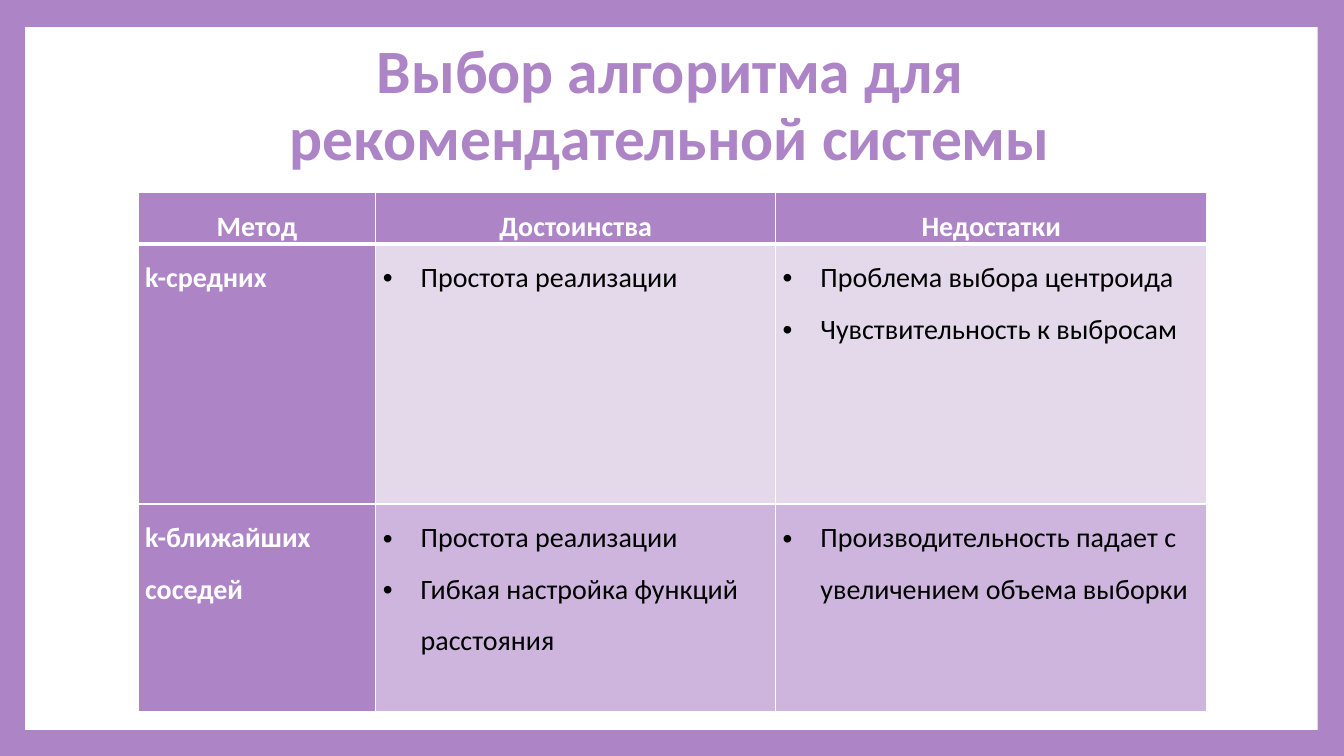
from lxml import etree
from pptx import Presentation
from pptx.dml.color import RGBColor
from pptx.enum.shapes import MSO_SHAPE
from pptx.enum.text import MSO_ANCHOR, PP_ALIGN
from pptx.oxml.ns import qn
from pptx.util import Pt

RECTANGLE = MSO_SHAPE.RECTANGLE
TOP, MIDDLE, BOTTOM = MSO_ANCHOR.TOP, MSO_ANCHOR.MIDDLE, MSO_ANCHOR.BOTTOM
LEFT, CENTER = PP_ALIGN.LEFT, PP_ALIGN.CENTER
TITLE_ONLY = 5

COLORS = {
    "purple": "AD84C6",
    "white": "FFFFFF",
    "black": "000000",
    "light band": "E3D9EA",
    "dark band": "CEB5DD",
}
HEADINGS = ["Метод", "Достоинства", "Недостатки"]
METHODS = [
    ("k-средних",
     ["Простота реализации"],
     ["Проблема выбора центроида", "Чувствительность к выбросам"]),
    ("k-ближайших соседей",
     ["Простота реализации", "Гибкая настройка функций расстояния"],
     ["Производительность падает с увеличением объема выборки"]),
]
COLUMN_WIDTHS = [169.9, 285.6, 308]
ROW_HEIGHTS = [35.3, 185.8, 148.3]


def color(name):
    return RGBColor.from_string(COLORS[name])


class SlideBuilder:
    font = "Calibri"
    indent = 27

    def __init__(self, deck):
        self.page = deck.slides.add_slide(deck.slide_layouts[TITLE_ONLY])

    def background(self, fill):
        self.page.background.fill.solid()
        self.page.background.fill.fore_color.rgb = color(fill)

    def add_text(self, para, text, size, fill, bold, align, spacing):
        para.alignment = align
        para.line_spacing = spacing
        span = para.add_run()
        span.text = text
        formats = {"name": self.font, "size": Pt(size), "bold": bold}
        for name, value in formats.items():
            setattr(span.font, name, value)
        span.font.color.rgb = color(fill)

    def title(self, text, left, top, width, height):
        box = self.page.shapes.title
        place = {"left": left, "top": top, "width": width, "height": height}
        for name, value in place.items():
            setattr(box, name, Pt(value))
        box.text_frame.word_wrap = True
        box.text_frame.vertical_anchor = MIDDLE
        self.add_text(box.text_frame.paragraphs[0], text, 44, "purple", True, CENTER, 0.9)

    def panel(self, left, top, width, height):
        box = self.page.shapes.add_shape(
            RECTANGLE, Pt(left), Pt(top), Pt(width), Pt(height))
        box.shadow.inherit = False
        box.fill.solid()
        box.fill.fore_color.rgb = color("white")
        box.line.fill.background()
        # Keep the panel behind the title
        self.page.shapes.title.element.addprevious(box.element)

    def bullet(self, para):
        props = para._p.get_or_add_pPr()
        props.set("marL", str(Pt(self.indent)))
        props.set("indent", str(-Pt(self.indent)))
        etree.SubElement(props, qn("a:buFont")).set("typeface", "Arial")
        etree.SubElement(props, qn("a:buChar")).set("char", "•")

    def borders(self, cell, widths):
        props = cell._tc.get_or_add_tcPr()
        for side, width in widths.items():
            line = etree.SubElement(props, qn("a:ln" + side), w=str(Pt(width)))
            fill = etree.SubElement(line, qn("a:solidFill"))
            etree.SubElement(fill, qn("a:srgbClr")).set("val", COLORS["white"])

    def cell(self, cell, lines, fill, text_color="white", bold=True,
             align=LEFT, anchor=TOP, bulleted=False, top_line=1, bottom_line=1):
        self.borders(cell, {"L": 1, "R": 1, "T": top_line, "B": bottom_line})
        cell.fill.solid()
        cell.fill.fore_color.rgb = color(fill)
        cell.vertical_anchor = anchor
        cell.margin_left = cell.margin_right = Pt(5)
        cell.margin_top = cell.margin_bottom = 0
        frame = cell.text_frame
        for index, text in enumerate(lines):
            para = frame.add_paragraph() if index else frame.paragraphs[0]
            if bulleted:
                self.bullet(para)
            self.add_text(para, text, 20, text_color, bold, align, 1.5)

    def table(self, left, top, widths, heights):
        table = self.page.shapes.add_table(
            len(heights), len(widths), Pt(left), Pt(top),
            Pt(sum(widths)), Pt(sum(heights))).table
        table.first_row = table.horz_banding = False
        for column, width in zip(table.columns, widths):
            column.width = Pt(width)
        for row, height in zip(table.rows, heights):
            row.height = Pt(height)
        return table


def main():
    deck = Presentation()
    deck.slide_width, deck.slide_height = Pt(960), Pt(540)
    slide = SlideBuilder(deck)

    # Frame and title
    slide.background("purple")
    slide.panel(18, 19.3, 923.2, 502)
    slide.title("Выбор алгоритма для рекомендательной системы", 90, 23, 777.6, 106.6)

    # Heading row
    table = slide.table(98.6, 137.5, COLUMN_WIDTHS, ROW_HEIGHTS)
    for column, heading in enumerate(HEADINGS):
        slide.cell(table.cell(0, column), [heading], "purple", align=CENTER,
                   anchor=BOTTOM if column == 1 else TOP, bottom_line=3)

    # One row per method
    bands = ["light band", "dark band"]
    for row, (method, *lists) in enumerate(METHODS, start=1):
        top_line = 3 if row == 1 else 1
        slide.cell(table.cell(row, 0), [method], "purple", top_line=top_line)
        for column, lines in enumerate(lists, start=1):
            slide.cell(table.cell(row, column), lines, bands[row - 1], "black",
                       bold=False, bulleted=True, top_line=top_line)

    deck.save("out.pptx")


if __name__ == "__main__":
    main()
